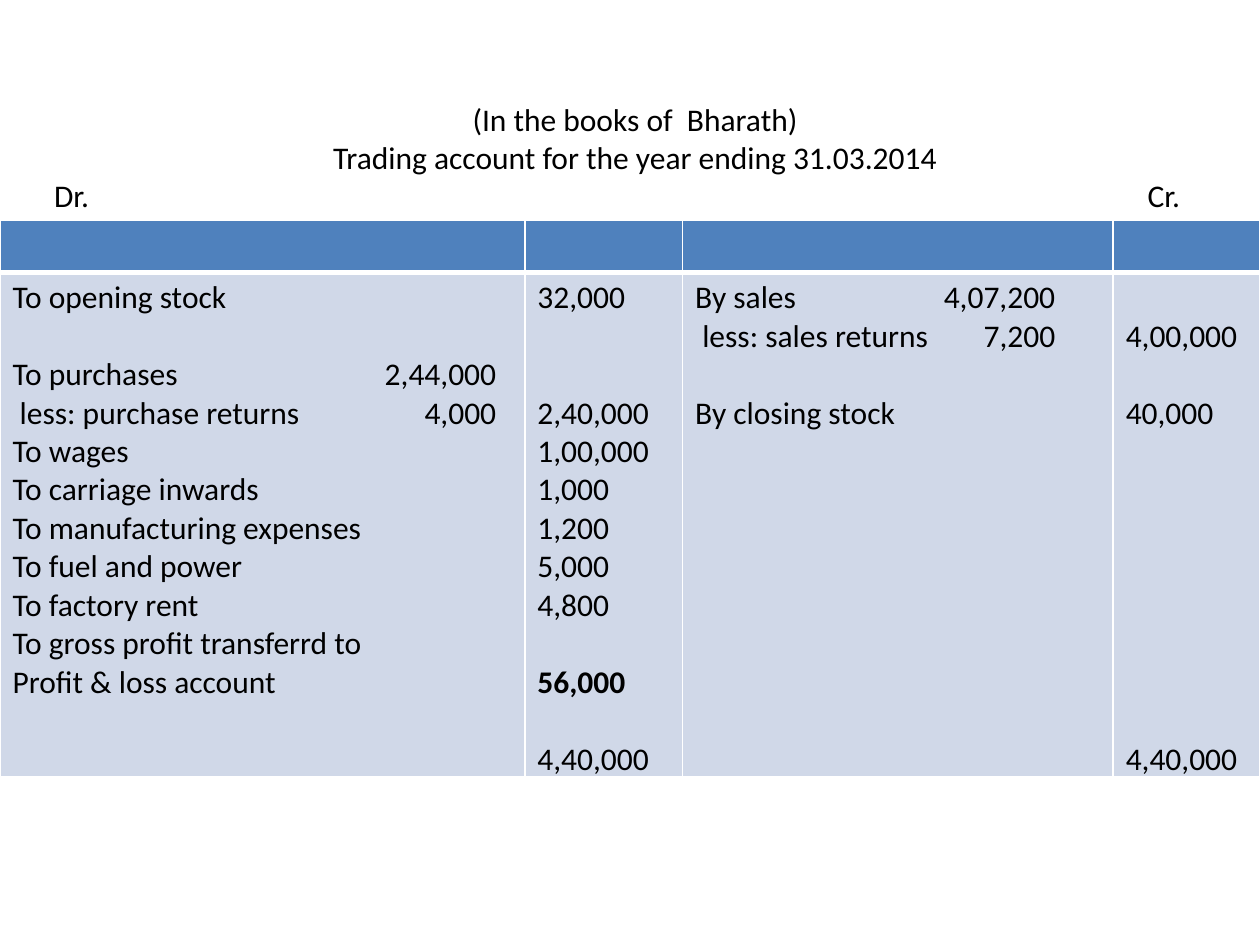
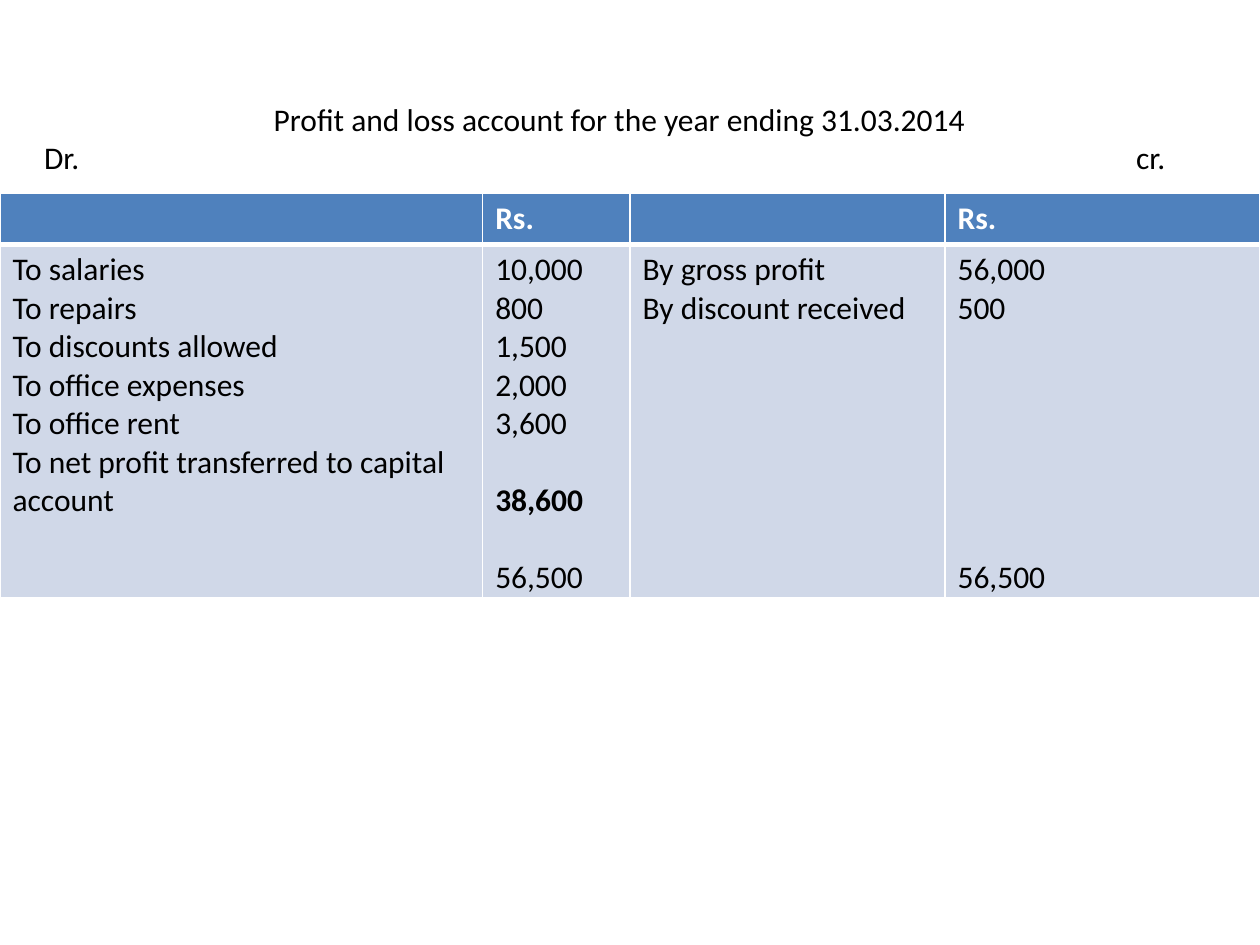
import pptx
import pptx.util
import pptx.dml.color
import pptx.enum.text
import pptx.oxml.ns
import lxml.etree

Cm = pptx.util.Cm
Pt = pptx.util.Pt
ALIGN = pptx.enum.text.PP_ALIGN

BLACK, WHITE = "000000", "FFFFFF"
HEADER_BLUE, BODY_BLUE = "4F81BD", "D0D8E8"
LINE_PITCH = 22
HEADER_HEIGHT = 1.04
BODY_FONT = {"name": "Calibri", "size": Pt(18), "bold": False}

TRADING = {
    "box": (0.84, 1.9, 23.93, 3.33),
    "heading": ["(In the books of  Bharath)",
                "Trading account for the year ending 31.03.2014"],
    "sides": "Dr.\tCr.",
    "sides_tab": 22.7,
    "table_top": 4.45,
    "widths": [10.58, 3.18, 8.68, 2.96],
    "tabs": [9.75, None, 7.26, None],
    "headers": ["", "", "", ""],
    "body_height": 10.16,
    "profit": "56,000",
    "columns": [
        ["To opening stock", "", "To purchases\t2,44,000",
         " less: purchase returns\t4,000", "To wages",
         "To carriage inwards", "To manufacturing expenses",
         "To fuel and power", "To factory rent",
         "To gross profit transferrd to", "Profit & loss account"],
        ["32,000", "", "", "2,40,000", "1,00,000", "1,000", "1,200",
         "5,000", "4,800", "", "56,000", "", "4,40,000"],
        ["By sales\t4,07,200", " less: sales returns\t7,200", "",
         "By closing stock"],
        ["", "4,00,000", "", "40,000"] + [""] * 8 + ["4,40,000"],
    ],
}

PROFIT_AND_LOSS = {
    "box": (0.64, 1.9, 23.7, 1.8),
    "heading": ["Profit and loss account for the year ending 31.03.2014"],
    "sides": "Dr.\tcr.",
    "sides_tab": 22.6,
    "table_top": 3.89,
    "widths": [9.73, 2.97, 6.35, 6.35],
    "tabs": [None] * 4,
    "headers": ["", "Rs.", "", "Rs."],
    "body_height": 7.11,
    "profit": "38,600",
    "columns": [
        ["To salaries", "To repairs", "To discounts allowed",
         "To office expenses", "To office rent",
         "To net profit transferred to capital account"],
        ["10,000", "800", "1,500", "2,000", "3,600", "", "38,600", "",
         "56,500"],
        ["By gross profit", "By discount received"],
        ["56,000", "500"] + [""] * 6 + ["56,500"],
    ],
}


def colour(value):
    """Return the colour for a hex string."""
    return pptx.dml.color.RGBColor.from_string(value)


def add_child(parent, tag, **attributes):
    """Append a DrawingML element and return it."""
    child = lxml.etree.SubElement(parent, pptx.oxml.ns.qn(tag))
    for name, value in attributes.items():
        child.set(name, str(value))
    return child


def write_paragraph(para, text, ink=BLACK, tab=None, **changes):
    """Fill a paragraph with one formatted span and an optional right tab."""
    span = para.add_run()
    span.text = text
    for name, value in {**BODY_FONT, **changes}.items():
        setattr(span.font, name, value)
    span.font.color.rgb = colour(ink)
    if tab and "\t" in text:
        stops = add_child(para._p.get_or_add_pPr(), "a:tabLst")
        add_child(stops, "a:tab", pos=int(Cm(tab)), algn="r")


def next_paragraph(frame, first):
    """Return the paragraph that opens a frame, or a new one after it."""
    return frame.paragraphs[0] if first else frame.add_paragraph()


def add_heading(page, account):
    """Add the centred title lines and the line naming both sides."""
    box = page.shapes.add_textbox(*[Cm(length) for length in account["box"]])
    frame = box.text_frame
    frame.word_wrap = True
    for index, line in enumerate(account["heading"]):
        para = next_paragraph(frame, index == 0)
        para.alignment = ALIGN.CENTER
        write_paragraph(para, line)
    write_paragraph(frame.add_paragraph(), account["sides"],
                    tab=account["sides_tab"])


def style_cell(cell, fill, top, bottom):
    """Give a cell white borders and a solid fill."""
    properties = cell._tc.get_or_add_tcPr()
    widths = {"a:lnL": 1, "a:lnR": 1, "a:lnT": top, "a:lnB": bottom}
    for tag, width in widths.items():
        line = add_child(properties, tag, w=int(Pt(width)))
        add_child(add_child(line, "a:solidFill"), "a:srgbClr", val=WHITE)
    cell.fill.solid()
    cell.fill.fore_color.rgb = colour(fill)


def fill_entries(cell, entries, tab, profit):
    """Write ledger entries, turning empty lines into spacing."""
    frame = cell.text_frame
    cell.margin_bottom = 0
    started, gap = False, 0
    for entry in entries:
        if not entry:
            gap += LINE_PITCH
            continue
        para = next_paragraph(frame, not started)
        if gap and started:
            para.space_before = Pt(gap)
        elif gap:
            cell.margin_top = cell.margin_top + Pt(gap)
        write_paragraph(para, entry, tab=tab, bold=entry == profit)
        started, gap = True, 0


def add_ledger(page, account):
    """Add the two-sided account table."""
    widths = account["widths"]
    height = HEADER_HEIGHT + account["body_height"]
    table = page.shapes.add_table(
        2, len(widths), 0, Cm(account["table_top"]),
        Cm(sum(widths)), Cm(height)).table
    table.horz_banding = False
    table.rows[0].height = Cm(HEADER_HEIGHT)
    table.rows[1].height = Cm(account["body_height"])
    for index, width in enumerate(widths):
        table.columns[index].width = Cm(width)
        header, body = table.cell(0, index), table.cell(1, index)
        style_cell(header, HEADER_BLUE, 1, 3)
        style_cell(body, BODY_BLUE, 3, 1)
        if account["headers"][index]:
            write_paragraph(header.text_frame.paragraphs[0],
                            account["headers"][index], WHITE, bold=True)
        fill_entries(body, account["columns"][index],
                     account["tabs"][index], account["profit"])


def main():
    """Build one page for each account and save the deck."""
    deck = pptx.Presentation()
    deck.slide_width, deck.slide_height = Cm(25.4), Cm(19.05)
    for account in (TRADING, PROFIT_AND_LOSS):
        page = deck.slides.add_slide(deck.slide_layouts[6])
        add_heading(page, account)
        add_ledger(page, account)
    deck.save("out.pptx")


main()
